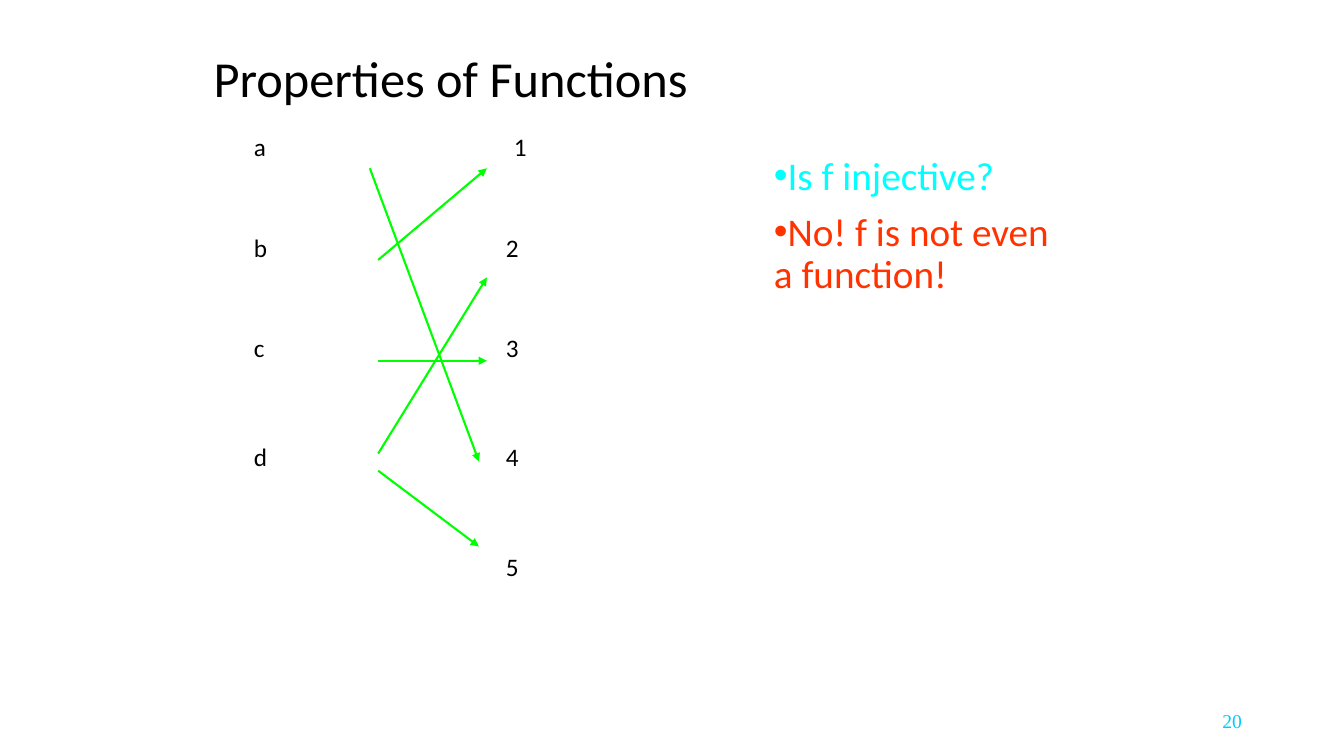
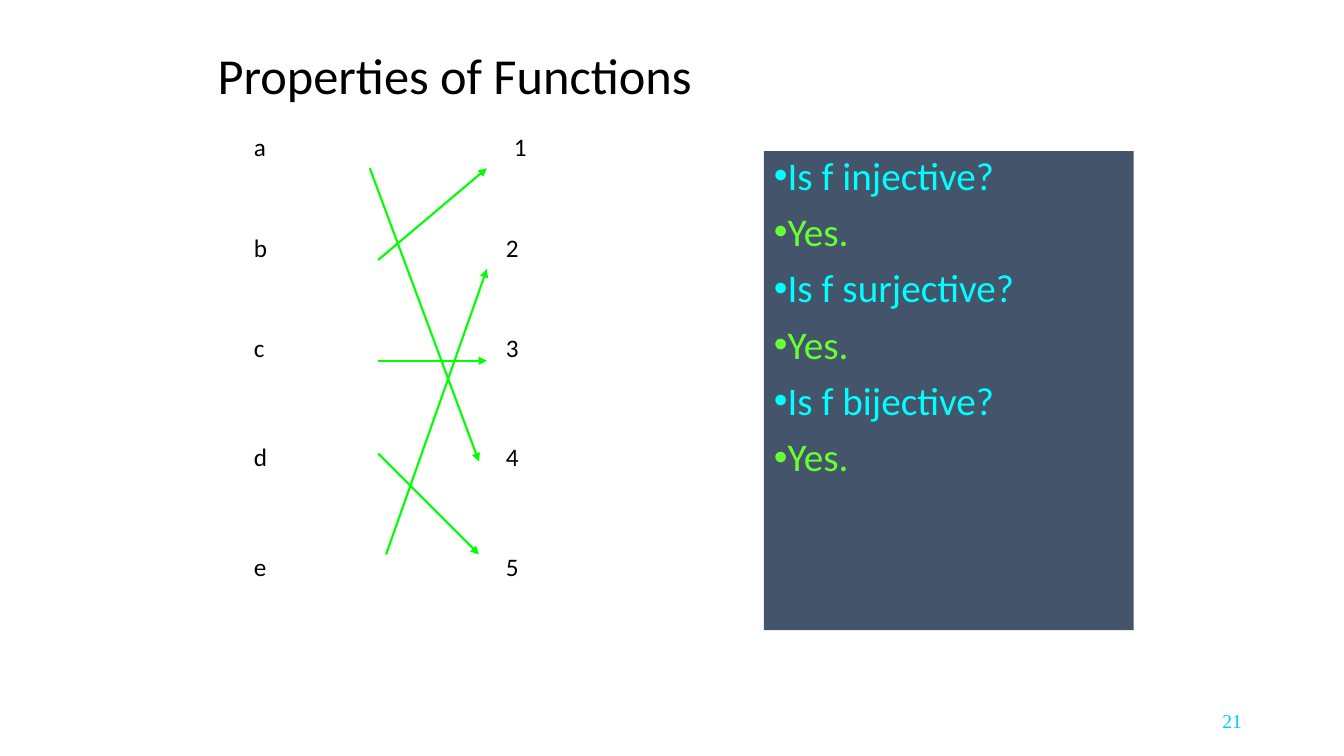
from lxml import etree
from pptx import Presentation
from pptx.dml.color import RGBColor
from pptx.enum.shapes import MSO_CONNECTOR
from pptx.enum.text import MSO_ANCHOR, MSO_AUTO_SIZE, PP_ALIGN
from pptx.oxml.ns import qn
from pptx.util import Cm, Pt

COLORS = {
    "text": "000000",
    "question": "00FFFF",
    "yes": "66FF33",
    "no": "FF3300",
    "panel": "44546A",
    "arrow": "00FF00",
    "number": "00CCFF",
}
BODY_FONT = "Calibri"
NUMBER_FONT = "Times New Roman"

# Diagram grid, in centimetres
ROWS = [3.18, 5.72, 8.26, 11, 13.77]
DOMAIN_X = 6.15
CODOMAIN_X = [12.7, 12.5, 12.5, 12.5, 12.5]

# Arrows found in both diagrams: a to 4, b to 1, c to 3
SHARED_ARROWS = [
    (9.32, 4.24, 12.07, 11.63),
    (9.53, 6.55, 12.27, 4.24),
    (9.53, 9.09, 12.27, 9.09),
]


def rgb(name):
    return RGBColor.from_string(COLORS[name])


def place(shape, left, top, width, height):
    shape.left, shape.top = Cm(left), Cm(top)
    shape.width, shape.height = Cm(width), Cm(height)


def style(paragraph, size, color, font=BODY_FONT):
    for run in paragraph.runs:
        run.font.size = Pt(size)
        run.font.name = font
        run.font.color.rgb = rgb(color)


def set_title(slide, text, left, top):
    title = slide.shapes.title
    place(title, left, top, 21.59, 1.9)
    frame = title.text_frame
    frame.text = text
    frame.auto_size = MSO_AUTO_SIZE.NONE
    frame.vertical_anchor = MSO_ANCHOR.MIDDLE
    heading = frame.paragraphs[0]
    heading.alignment = PP_ALIGN.LEFT
    heading.line_spacing = 0.9
    style(heading, 36, "text")


def add_bullet(paragraph):
    properties = paragraph._p.get_or_add_pPr()
    properties.set("marL", "0")
    properties.set("indent", "0")
    etree.SubElement(properties, qn("a:buChar")).set("char", "•")


def set_questions(slide, lines, panel=None):
    body = slide.placeholders[1]
    place(body, 19.25, 3.81, 9.32, 12.07)
    if panel:
        body.fill.solid()
        body.fill.fore_color.rgb = rgb(panel)
    frame = body.text_frame
    frame.auto_size = MSO_AUTO_SIZE.NONE
    frame.vertical_anchor = MSO_ANCHOR.TOP
    for index, (text, color) in enumerate(lines):
        line = frame.add_paragraph() if index else frame.paragraphs[0]
        line.text = text
        add_bullet(line)
        line.line_spacing = 0.9
        line.space_before = Pt(10 if index else 0)
        style(line, 28, color)


def add_text(slide, text, left, top, width, size, color, font=BODY_FONT):
    box = slide.shapes.add_textbox(Cm(left), Cm(top), Cm(width), Cm(1.02))
    frame = box.text_frame
    frame.word_wrap = True
    frame.text = text
    style(frame.paragraphs[0], size, color, font)
    return frame


def add_page_number(slide, number):
    frame = add_text(slide, str(number), 23.93, 17.65, 7.62, 14, "number",
                     NUMBER_FONT)
    frame.vertical_anchor = MSO_ANCHOR.MIDDLE
    frame.paragraphs[0].alignment = PP_ALIGN.RIGHT


def add_arrow(slide, x1, y1, x2, y2):
    arrow = slide.shapes.add_connector(
        MSO_CONNECTOR.STRAIGHT, Cm(x1), Cm(y1), Cm(x2), Cm(y2))
    arrow.line.color.rgb = rgb("arrow")
    arrow.line.width = Pt(1.5)
    etree.SubElement(arrow.line._get_or_add_ln(),
                     qn("a:tailEnd")).set("type", "triangle")
    etree.SubElement(arrow._element.spPr, qn("a:effectLst"))


def add_mapping(slide, domain, arrows):
    for letter, top in zip(domain, ROWS):
        add_text(slide, letter, DOMAIN_X, top, 5.08, 18, "text")
    for value, (left, top) in enumerate(zip(CODOMAIN_X, ROWS), start=1):
        add_text(slide, str(value), left, top, 5.08, 18, "text")
    for arrow in SHARED_ARROWS + arrows:
        add_arrow(slide, *arrow)


def add_function_slide(prs, number, title_at, questions, domain, arrows,
                       panel=None):
    slide = prs.slides.add_slide(prs.slide_layouts[1])
    set_title(slide, "Properties of Functions", *title_at)
    set_questions(slide, questions, panel)
    add_mapping(slide, domain, arrows)
    add_page_number(slide, number)


def main():
    prs = Presentation()
    prs.slide_width, prs.slide_height = Cm(33.87), Cm(19.05)

    # Not a function: d has two images
    add_function_slide(
        prs, 20, (5.13, 1.09),
        [("Is f injective?", "question"),
         ("No! f is not even\na function!", "no")],
        "abcd",
        [(9.53, 11.86, 12.07, 13.77), (9.53, 11.43, 12.27, 6.99)])

    # Bijection
    answers = []
    for kind in ("injective", "surjective", "bijective"):
        answers += [(f"Is f {kind}?", "question"), ("Yes.", "yes")]
    add_function_slide(
        prs, 21, (5.23, 1.02), answers, "abcde",
        [(9.53, 11.43, 12.07, 13.97), (9.73, 13.97, 12.27, 6.78)],
        panel="panel")

    prs.save("out.pptx")


if __name__ == "__main__":
    main()
